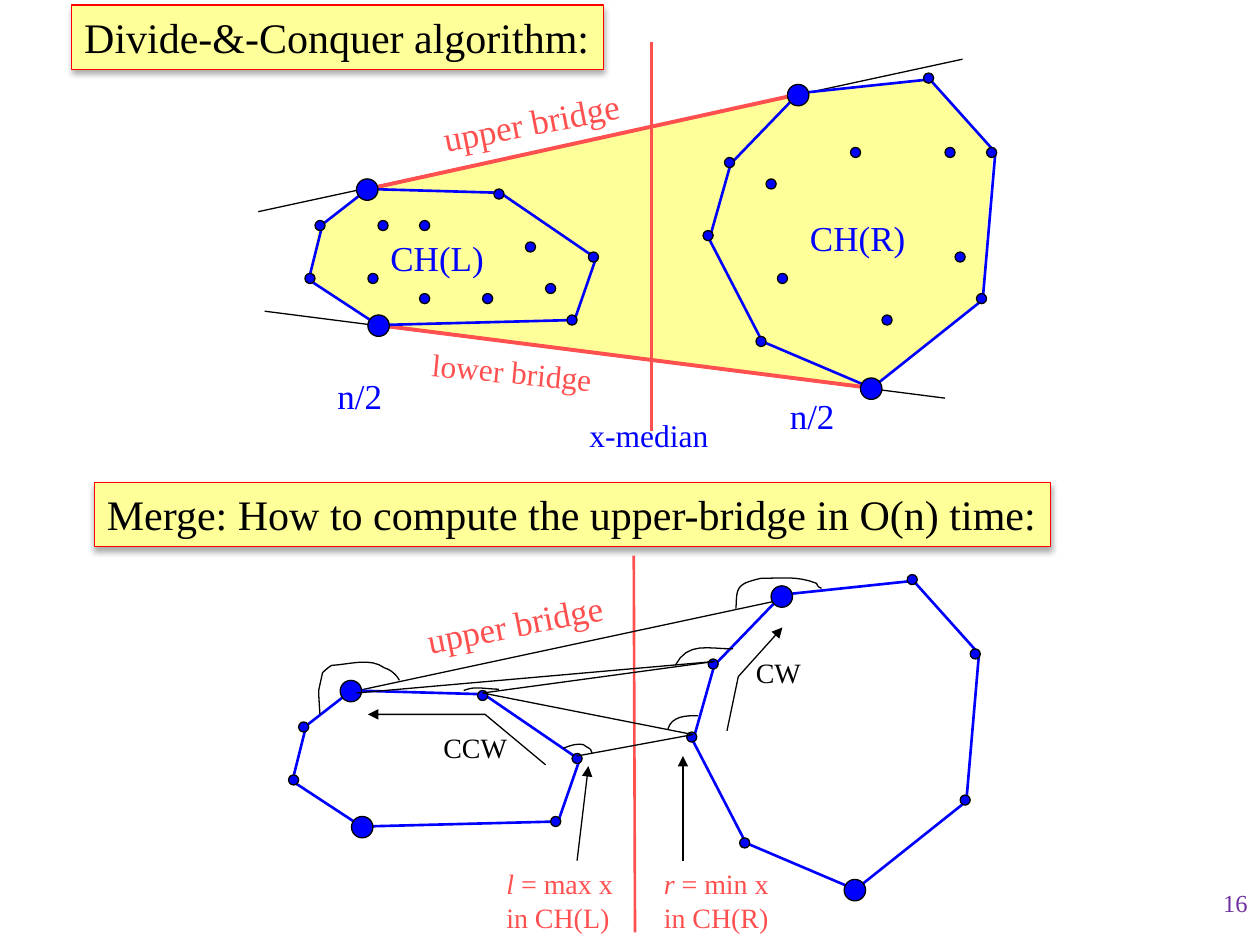
from dataclasses import dataclass
from typing import Any

from lxml import etree
from pptx import Presentation, util as u
from pptx.dml.color import RGBColor
from pptx.enum import shapes, text
from pptx.oxml import ns

PX = u.Inches(0.01)
FONT = "Times New Roman"
BLACK = RGBColor(0, 0, 0)
BLUE = RGBColor(0, 0, 255)
CORAL = RGBColor(255, 80, 80)
RED = RGBColor(255, 0, 0)
YELLOW = RGBColor(255, 255, 153)
PURPLE = RGBColor(112, 48, 160)

BRIDGED_AREA = [(292, 150), (633, 75), (739, 62), (788, 121), (779, 237),
                (692, 308), (300, 258), (246, 223), (253, 179)]
LEFT_HULL = [(50, 92), (14, 120), (3, 164), (58, 200), (214, 196),
             (231, 147), (155, 95)]
RIGHT_HULL = [(392, 16), (496, 5), (548, 63), (538, 180), (450, 250),
              (363, 213), (321, 132), (338, 72)]
BRIDGE_DOTS = [(41, 84), (50, 192), (383, 9), (441, 242)]
HULL_DOTS = [(8, 117), (0, 159), (225, 142), (208, 192), (150, 92),
             (541, 59), (491, 0), (333, 67), (316, 125), (533, 175),
             (358, 209)]
INNER_DOTS = [(300, 175), (333, 175), (608, 142), (333, 233), (700, 250),
              (617, 217), (292, 217), (675, 117), (383, 233), (433, 225),
              (417, 192), (750, 117), (758, 200)]
ANGLE_ARCS = [
    [(447, 214), (452, 212), (457, 210), (463, 211), (470, 216), (468, 213),
     (470, 218)],
    [(530, 199), (533, 188), (545, 188), (554, 188)],
    [(368, 168), (371, 167), (374, 166), (378, 166), (384, 166), (390, 167),
     (396, 167)],
    [(536, 148), (546, 129), (562, 135), (582, 135)],
    [(317, 160), (315, 156), (311, 152), (305, 150), (294, 142), (279, 147),
     (265, 148), (264, 148), (263, 148), (262, 149), (260, 150), (256, 154),
     (256, 154), (255, 159), (254, 163), (253, 168), (253, 174), (254, 187),
     (254, 187)],
    [(584, 103), (585, 95), (583, 87), (591, 83), (595, 81), (604, 79),
     (604, 79), (621, 79), (633, 77), (648, 83), (650, 87), (649, 85),
     (652, 87)],
]


@dataclass
class Region:
    """A layer of shapes and the top left corner of its box."""
    layer: Any
    left: int
    top: int

    def place(self, x, y):
        """Turn a point of the region into EMU on the page."""
        return round((self.left + x) * PX), round((self.top + y) * PX)


def add_effects(item):
    """Give an item its own effect list, which starts empty."""
    return etree.SubElement(item.element.spPr, ns.qn("a:effectLst"))


def add_arrowhead(item):
    """End the line of an item in a triangle."""
    etree.SubElement(item.line._get_or_add_ln(), ns.qn("a:tailEnd"), type="triangle")


def style_text(frame, size, color):
    """Set font, size and colour of every run."""
    for para in frame.paragraphs:
        for span in para.runs:
            span.font.name = FONT
            span.font.size = u.Pt(size)
            span.font.color.rgb = color


def add_label(region, box, words, size, color, rotation=0):
    """Add an unwrapped text box."""
    left, top, width, height = box
    label = region.layer.add_textbox(*region.place(left, top), width * PX, height * PX)
    label.rotation = rotation
    label.text_frame.word_wrap = False
    label.text_frame.auto_size = text.MSO_AUTO_SIZE.SHAPE_TO_FIT_TEXT
    label.text_frame.text = words
    style_text(label.text_frame, size, color)
    return label


def add_line(region, start, end, color=BLACK, weight=0.75, arrow=False):
    """Add a straight line, with an arrowhead if wanted."""
    line = region.layer.add_connector(
        shapes.MSO_CONNECTOR.STRAIGHT, *region.place(*start), *region.place(*end))
    line.line.color.rgb = color
    line.line.width = u.Pt(weight)
    if arrow:
        add_arrowhead(line)
    add_effects(line)


def add_outline(region, points, close=False, fill=None, color=None, weight=0.75):
    """Add a freeform through the points."""
    first, *rest = [region.place(*point) for point in points]
    builder = region.layer.build_freeform(*first)
    builder.add_line_segments(rest, close=close)
    outline = builder.convert_to_shape()
    outline.shadow.inherit = False
    if fill is None:
        outline.fill.background()
    else:
        outline.fill.solid()
        outline.fill.fore_color.rgb = fill
    if color is None:
        outline.line.fill.background()
    else:
        outline.line.color.rgb = color
        outline.line.width = u.Pt(weight)
    return outline


def sample_curve(points, steps=8):
    """Return points along a chain of cubic curves."""
    curve = [points[0]]
    for i in range(0, len(points) - 1, 3):
        for step in range(1, steps + 1):
            t = step / steps
            weights = ((1 - t) ** 3, 3 * t * (1 - t) ** 2, 3 * t * t * (1 - t), t ** 3)
            curve.append(tuple(
                sum(w * point[axis] for w, point in zip(weights, points[i:i + 4]))
                for axis in (0, 1)))
    return curve


def add_dots(region, corners, size):
    """Add round points of one size."""
    for corner in corners:
        dot = region.layer.add_shape(
            shapes.MSO_SHAPE.OVAL, *region.place(*corner), size * PX, size * PX)
        dot.shadow.inherit = False
        dot.fill.solid()
        dot.fill.fore_color.rgb = BLUE
        dot.line.color.rgb = BLACK
        dot.line.width = u.Pt(0.75)


def add_heading(region, box, words):
    """Add a yellow heading with a red border and a soft shadow."""
    heading = add_label(region, box, words, 24, BLACK)
    heading.fill.solid()
    heading.fill.fore_color.rgb = YELLOW
    heading.line.color.rgb = RED
    heading.line.width = u.Pt(0.75)
    shadow = etree.SubElement(
        add_effects(heading), ns.qn("a:outerShdw"), blurRad=str(u.Pt(3.5)),
        dist=str(u.Pt(2.2)), dir="5400000", rotWithShape="0")
    tint = etree.SubElement(shadow, ns.qn("a:srgbClr"), val=str(BLACK))
    etree.SubElement(tint, ns.qn("a:alpha"), val="32000")


def add_hulls(region):
    """Draw both hulls, their points and the upper bridge label."""
    for hull in (LEFT_HULL, RIGHT_HULL):
        add_outline(region, hull, close=True, color=BLUE, weight=1.5)
    add_label(region, (99, 17, 163, 43), "upper bridge", 20, CORAL, 348.9)
    add_dots(region, BRIDGE_DOTS, 17)
    add_dots(region, HULL_DOTS, 8)


def add_extreme_label(region, box, letter, side):
    """Name the extreme point of one hull, its letter in italics."""
    label = add_label(region, box, f"{letter}\nin CH({side})", 16, CORAL)
    para = label.text_frame.paragraphs[0]
    para.runs[0].font.italic = True
    para.add_run().text = " = max x" if side == "L" else " = min x"
    style_text(label.text_frame, 16, CORAL)


def build_divide(region):
    """Draw the two halves joined by their bridges."""
    add_outline(region, BRIDGED_AREA, close=True, fill=YELLOW)
    add_line(region, (210, 247), (750, 316))
    add_line(region, (205, 168), (764, 47))
    add_line(region, (300, 258), (692, 308), CORAL, 2.25)
    add_line(region, (292, 150), (633, 75), CORAL, 2.25)
    add_heading(region, (57, 4, 422, 51), "Divide-&-Conquer algorithm:")
    add_line(region, (517, 33), (517, 342), CORAL, 1.5)
    add_hulls(Region(region.layer, region.left + 242, region.top + 58))
    add_dots(region, INNER_DOTS, 8)
    add_label(region, (333, 275, 147, 40), "lower bridge", 18, CORAL, 5.5)
    for box, words, size in (((258, 292, 56, 43), "n/2", 20),
                             ((617, 308, 56, 43), "n/2", 20),
                             ((300, 183, 94, 43), "CH(L)", 20),
                             ((633, 167, 96, 43), "CH(R)", 20),
                             ((458, 325, 115, 40), "x-median", 18)):
        add_label(region, box, words, size, BLUE)


def build_merge(region):
    """Draw the walk from the inner points up to the upper bridge."""
    add_heading(region, (75, 3, 759, 51),
                "Merge: How to compute the upper-bridge in O(n) time:")
    add_line(region, (503, 61), (504, 360), CORAL, 1.5)
    add_line(region, (275, 170), (625, 95))
    add_hulls(Region(region.layer, region.left + 229, region.top + 76))
    add_extreme_label(region, (392, 303, 105, 64), "l", "L")
    add_extreme_label(region, (517, 303, 104, 64), "r", "R")
    add_line(region, (458, 303), (467, 228), arrow=True)
    add_line(region, (542, 303), (542, 220), arrow=True)
    walk = [(458, 220), (550, 203), (383, 170), (567, 145), (283, 170)]
    for start, end in zip(walk, walk[1:]):
        add_line(region, start, end)
    for turn in ([(577, 200), (586, 157), (621, 118)],
                 [(433, 227), (385, 187), (292, 187)]):
        add_arrowhead(add_outline(region, turn, color=BLACK))
    add_label(region, (590, 135, 56, 37), "CW", 16, BLACK)
    add_label(region, (342, 195, 71, 37), "CCW", 16, BLACK)
    for arc in ANGLE_ARCS:
        add_outline(region, sample_curve(arc), color=BLACK)


def build_page_number(region):
    """Put the page number at the right edge."""
    number = add_label(region, (0, 0, 208, 50), "16", 14, PURPLE)
    number.text_frame.auto_size = text.MSO_AUTO_SIZE.NONE
    number.text_frame.word_wrap = True
    number.text_frame.paragraphs[0].alignment = text.PP_ALIGN.RIGHT


def main():
    """Build the deck and save it."""
    deck = Presentation()
    deck.slide_width, deck.slide_height = 1000 * PX, 750 * PX
    page = deck.slides.add_slide(deck.slide_layouts[6])
    build_divide(Region(page.shapes, 0, 0))
    build_merge(Region(page.shapes.add_group_shape().shapes, 0, 380))
    build_page_number(Region(page.shapes, 792, 700))
    deck.save("out.pptx")


if __name__ == "__main__":
    main()
